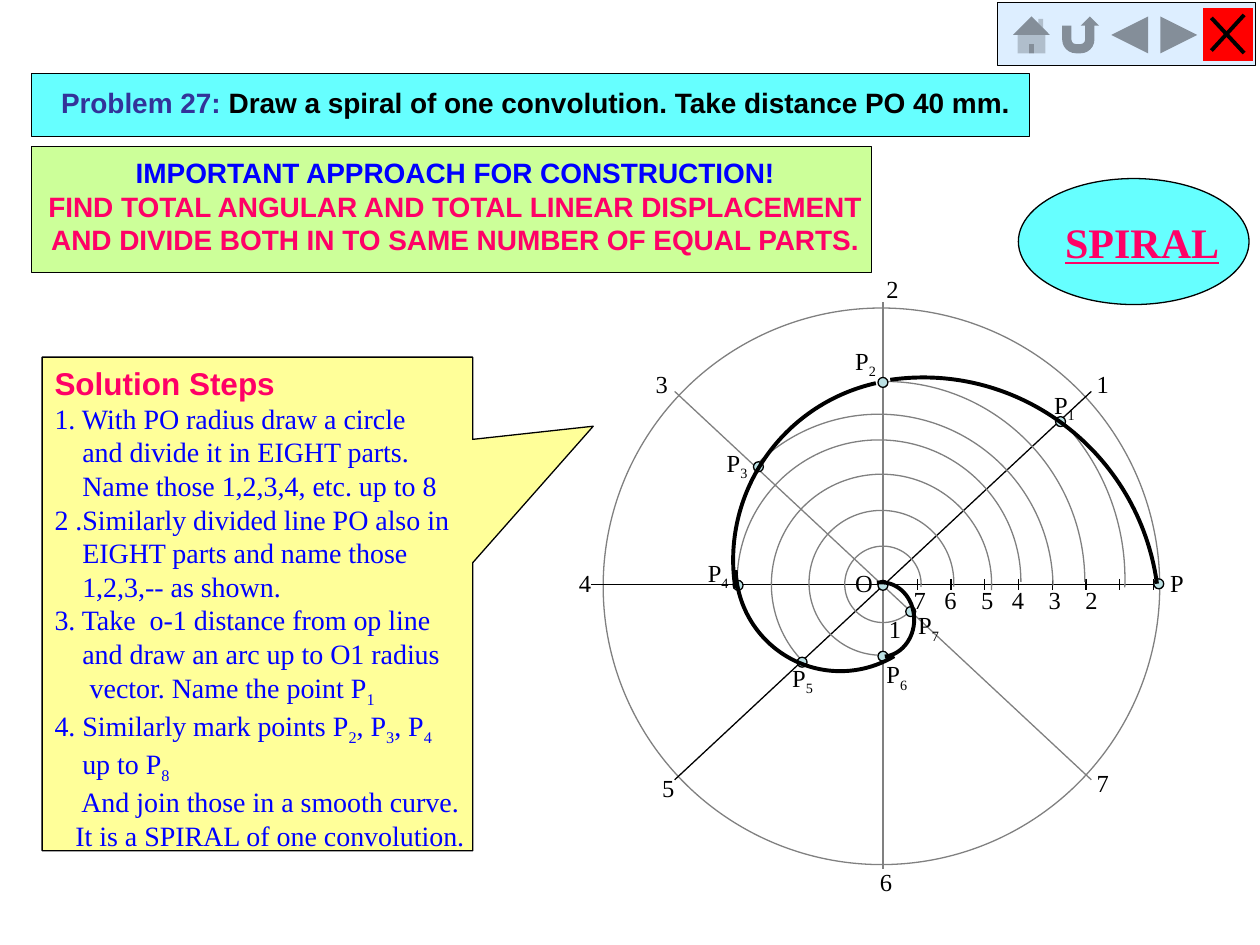
from math import ceil, cos, radians, sin, tan

from lxml.etree import SubElement
from pptx import Presentation
from pptx.dml.color import RGBColor
from pptx.enum.shapes import MSO_CONNECTOR, MSO_SHAPE
from pptx.enum.text import MSO_ANCHOR, MSO_AUTO_SIZE, PP_ALIGN
from pptx.oxml.ns import qn
from pptx.util import Cm, Pt

SERIF, SANS = "Times New Roman", "Arial"
BLACK, GREY, PINK, BLUE, CYAN = "000000", "808080", "FF0066", "0000FF", "66FFFF"


def rgb(value):
    """Turn a hex string into a colour."""
    return RGBColor.from_string(value)


def paint(sp, fill=None, line=None, width=0.75):
    """Set fill and outline, each none when not given."""
    if fill:
        sp.fill.solid()
        sp.fill.fore_color.rgb = rgb(fill)
    else:
        sp.fill.background()
    if line:
        sp.line.color.rgb = rgb(line)
        sp.line.width = Pt(width)
    else:
        sp.line.fill.background()


def add_box(slide, kind, x, y, w, h, fill, line=BLACK, width=0.75):
    """Add a flat preset shape, measured in centimetres."""
    sp = slide.shapes.add_shape(kind, Cm(x), Cm(y), Cm(w), Cm(h))
    sp.shadow.inherit = False
    paint(sp, fill, line, width)
    return sp


def add_line(slide, x1, y1, x2, y2, color=BLACK, width=0.75):
    """Add a straight line without a shadow."""
    line = slide.shapes.add_connector(MSO_CONNECTOR.STRAIGHT, Cm(x1), Cm(y1), Cm(x2), Cm(y2))
    line.line.color.rgb = rgb(color)
    line.line.width = Pt(width)
    SubElement(line._element.spPr, qn("a:effectLst"))


def add_arc(slide, cx, cy, rx, ry, start, end, color, width):
    """Draw an arc between two angles, counted anticlockwise from the right."""
    count = ceil((end - start) / 95)
    step = radians(end - start) / count
    k = 4 / 3 * tan(step / 4)

    def place(u, v):
        return Cm(cx + rx * u), Cm(cy - ry * v)

    points = []
    for i in range(count):
        a = radians(start) + step * i
        b = a + step
        points += [place(cos(a) - k * sin(a), sin(a) + k * cos(a)),
                   place(cos(b) + k * sin(b), sin(b) - k * cos(b)),
                   place(cos(b), sin(b))]
    first = radians(start)
    fb = slide.shapes.build_freeform(*place(cos(first), sin(first)))
    fb.add_line_segments(points, close=False)
    sp = fb.convert_to_shape()
    outline = next(sp._element.iter(qn("a:path")))
    segments = outline.findall(qn("a:lnTo"))
    for i in range(0, len(segments), 3):
        curve = SubElement(outline, qn("a:cubicBezTo"))
        for segment in segments[i:i + 3]:
            curve.append(segment[0])
            outline.remove(segment)
    sp.shadow.inherit = False
    paint(sp, None, color, width)


def set_font(p, name, size, color, bold=False):
    """Format a whole paragraph."""
    p.font.name = name
    p.font.size = Pt(size)
    p.font.color.rgb = rgb(color)
    p.font.bold = bold


def add_marked(p, text):
    """Add runs, lowering each digit that follows an underscore."""
    first, *rest = text.split("_")
    p.add_run().text = first
    for part in rest:
        r = p.add_run()
        r.text = part[0]
        r.font._element.set("baseline", "-25000")
        if part[1:]:
            p.add_run().text = part[1:]


def set_frame(sp, left, top, right, anchor=MSO_ANCHOR.TOP):
    """Set insets, anchor and wrapping of a shape's text."""
    tf = sp.text_frame
    tf.word_wrap = True
    tf.vertical_anchor = anchor
    tf.margin_left, tf.margin_top, tf.margin_right = Cm(left), Cm(top), Cm(right)
    tf.margin_bottom = Cm(0)
    return tf


def add_label(slide, text, x, y):
    """Add a short unwrapped label to the diagram."""
    tb = slide.shapes.add_textbox(Cm(x), Cm(y), Cm(0.94 if "_" in text else 0.77), Cm(0.84))
    tf = tb.text_frame
    tf.word_wrap = False
    tf.auto_size = MSO_AUTO_SIZE.SHAPE_TO_FIT_TEXT
    p = tf.paragraphs[0]
    set_font(p, SERIF, 14, BLACK)
    add_marked(p, text)


def add_scale(slide, x, y):
    """Add the division numbers below the line PO."""
    tb = slide.shapes.add_textbox(Cm(x), Cm(y), Cm(5.33), Cm(0.84))
    tf = tb.text_frame
    tf.word_wrap = True
    tf.text = "\t7\t6\t5\t4\t3\t2\n1"
    tabs = SubElement(tf.paragraphs[0]._p.get_or_add_pPr(), qn("a:tabLst"))
    for pos in (0.5, 1.12, 1.86, 2.48, 3.22, 3.96):
        SubElement(tabs, qn("a:tab"), pos=str(Cm(pos)), algn="l")
    for p in tf.paragraphs:
        set_font(p, SERIF, 14, BLACK)


def add_diagram(slide, x, y, size):
    """Draw the divided circle, its guide arcs and the spiral."""
    add_box(slide, MSO_SHAPE.OVAL, x, y, size, size, "FFFFFF", GREY)
    ox, oy = x + 5.64, y + 5.57
    for x1, y1, x2, y2, color in (
            (0, -5.69, 0, 5.74, GREY), (-5.89, 0, 5.54, 0, BLACK),
            (-4.2, -3.89, 4.2, 3.94, GREY), (4.2, -3.89, -4.2, 3.94, BLACK)):
        add_line(slide, ox + x1, oy + y1, ox + x2, oy + y2, color)
    for i in range(8):
        tick = ox + 0.69 + 0.68 * i
        add_line(slide, tick, oy - 0.11, tick, oy + 0.12)
    add_scale(slide, ox - 0.13, oy - 0.11)
    for dx, dy, r, start, end in (
            (0.23, -0.1, 4.65, -2, 44), (0.03, -0.05, 4.04, 0, 90),
            (-0.08, 0.08, 3.51, 1, 136), (-0.08, -0.05, 2.86, 0, 181),
            (-0.03, 0, 2.22, -3, 227), (-0.03, -0.03, 1.46, -3, 267),
            (0, 0, 0.77, -4, 324)):
        add_arc(slide, ox + dx, oy + dy, r, r, start, end, GREY, 0.75)
    for dx, dy in ((5.56, -0.01), (3.58, -3.28), (0, -4.07), (-2.92, 0.02), (-2.51, -2.37),
                   (-1.63, 1.57), (0, 1.45), (0.56, 0.55), (0, 0.02)):
        add_box(slide, MSO_SHAPE.OVAL, ox + dx - 0.1, oy + dy - 0.1, 0.2, 0.2, "BBE0E3")
    for dx, dy, rx, ry, start, end in (
            (0.81, 0.66, 4.76, 4.83, 8, 98), (0.69, -0.49, 3.71, 3.66, 103, 189),
            (-0.86, -0.36, 2.11, 2.11, 182, 301), (-0.03, 0.71, 0.66, 0.75, -84, 98)):
        add_arc(slide, ox + dx, oy + dy, rx, ry, start, end, BLACK, 2.25)
    for text, dx, dy in (
            ("P", 5.54, -0.45), ("1", 4.06, -4.46), ("2", -0.18, -6.38), ("3", -4.83, -4.46),
            ("4", -6.38, -0.45), ("5", -4.7, 3.67), ("6", -0.31, 5.57), ("7", 4.06, 3.57),
            ("P_2", -0.81, -4.93), ("P_6", -0.18, 1.39), ("P_1", 3.2, -4.05),
            ("P_3", -3.4, -2.88), ("P_5", -2.08, 1.46), ("P_7", 0.46, 0.4),
            ("P_4", -3.78, -0.65), ("O", -0.81, -0.45)):
        add_label(slide, text, ox + dx, oy + dy)


def add_topic(slide, x, y, w, h):
    """Add the oval with the topic name."""
    sp = add_box(slide, MSO_SHAPE.OVAL, x, y, w, h, CYAN)
    tf = set_frame(sp, 0.34, 0, 0, MSO_ANCHOR.MIDDLE)
    tf.word_wrap = False
    p = tf.paragraphs[0]
    p.text = "SPIRAL"
    p.alignment = PP_ALIGN.CENTER
    set_font(p, SERIF, 24, PINK, True)
    p.font.underline = True


def add_problem(slide, x, y, w, h):
    """Place the title as the problem banner."""
    sp = slide.shapes.title
    sp.left, sp.top, sp.width, sp.height = Cm(x), Cm(y), Cm(w), Cm(h)
    paint(sp, CYAN, BLACK)
    p = set_frame(sp, 0.59, 0.25, 0).paragraphs[0]
    p.alignment = PP_ALIGN.LEFT
    set_font(p, SANS, 16, BLACK, True)
    r = p.add_run()
    r.text = "Problem 27: "
    r.font.color.rgb = rgb("333399")
    p.add_run().text = "Draw a spiral of one convolution. Take distance PO 40 mm."


def add_approach(slide, x, y, w, h):
    """Add the green box with the approach."""
    sp = add_box(slide, MSO_SHAPE.RECTANGLE, x, y, w, h, "CCFF99")
    tf = set_frame(sp, 0.25, 0.18, 0.1)
    tf.text = ("IMPORTANT APPROACH FOR CONSTRUCTION!\n"
               "FIND TOTAL ANGULAR AND TOTAL LINEAR DISPLACEMENT\n"
               "AND DIVIDE BOTH IN TO SAME NUMBER OF EQUAL PARTS.")
    for p, color in zip(tf.paragraphs, (BLUE, PINK, PINK)):
        p.alignment = PP_ALIGN.CENTER
        set_font(p, SANS, 16, color, True)


def add_steps(slide, x, y, w, h):
    """Add the callout with the solution steps."""
    sp = add_box(slide, MSO_SHAPE.RECTANGULAR_CALLOUT, x, y, w, h, "FFFF99")
    sp.adjustments[0], sp.adjustments[1] = 0.78, -0.36
    tf = set_frame(sp, 0.25, 0.13, 0)
    lines = (
        (0, "Solution Steps"), (0, "1. With PO radius draw a circle"),
        (0.56, "and divide it in EIGHT parts."), (0.56, "Name those 1,2,3,4, etc. up to 8"),
        (0, "2 .Similarly divided line PO also in"), (0.56, "EIGHT parts and name those"),
        (0.56, "1,2,3,-- as shown."), (0, "3. Take  o-1 distance from op line"),
        (0.56, "and draw an arc up to O1 radius"), (0.71, "vector. Name the point P_1"),
        (0, "4. Similarly mark points P_2, P_3, P_4"), (0.56, "up to P_8"),
        (0.54, "And join those in a smooth curve."), (0.42, "It is a SPIRAL of one convolution."))
    for i, (indent, text) in enumerate(lines):
        p = tf.add_paragraph() if i else tf.paragraphs[0]
        p.alignment = PP_ALIGN.LEFT
        p._p.get_or_add_pPr().set("marL", str(Cm(indent)))
        set_font(p, *((SERIF, 16, BLUE) if i else (SANS, 18, PINK, True)))
        add_marked(p, text)


def add_navigation(slide, x, y, w, h):
    """Add the bar of action buttons with a closing cross."""
    add_box(slide, MSO_SHAPE.ACTION_BUTTON_CUSTOM, x, y, w, h, "DDEEFF", BLACK, 0.5)
    kinds = (MSO_SHAPE.ACTION_BUTTON_HOME, MSO_SHAPE.ACTION_BUTTON_RETURN,
             MSO_SHAPE.ACTION_BUTTON_BACK_OR_PREVIOUS,
             MSO_SHAPE.ACTION_BUTTON_FORWARD_OR_NEXT, MSO_SHAPE.ACTION_BUTTON_CUSTOM)
    for i, kind in enumerate(kinds):
        fill = "FF0000" if i == 4 else "DDEEFF"
        add_box(slide, kind, x + 0.2 + 0.99 * i, y + 0.12, 0.99, 1.07, fill, None)
    add_line(slide, x + 4.32, y + 0.31, x + 4.98, y + 1.02, BLACK, 2.25)
    add_line(slide, x + 4.98, y + 0.25, x + 4.32, y + 0.97, BLACK, 2.25)


def main():
    """Build and save the slide."""
    prs = Presentation()
    prs.slide_width, prs.slide_height = Cm(25.4), Cm(19.05)
    slide = prs.slides.add_slide(prs.slide_layouts[5])
    add_diagram(slide, 12.16, 6.21, 11.22)
    add_topic(slide, 20.53, 3.6, 4.65, 2.54)
    add_problem(slide, 0.64, 1.48, 20.11, 1.27)
    add_steps(slide, 0.85, 7.2, 8.68, 9.95)
    add_approach(slide, 0.64, 2.96, 16.93, 2.54)
    add_navigation(slide, 20.1, 0.05, 5.21, 1.27)
    prs.save("out.pptx")


if __name__ == "__main__":
    main()
